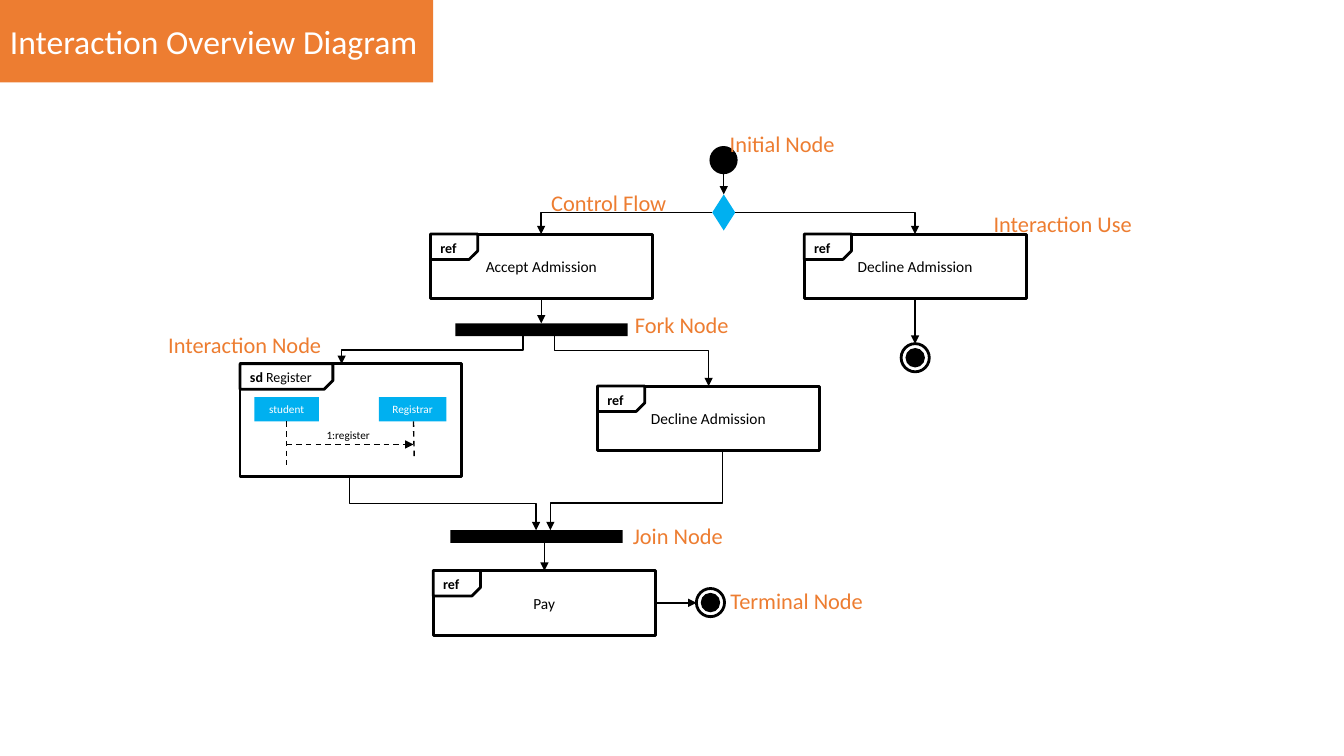
from pptx import Presentation
from pptx.dml.color import RGBColor
from pptx.enum.dml import MSO_LINE
from pptx.enum.shapes import MSO_CONNECTOR, MSO_SHAPE
from pptx.enum.text import MSO_ANCHOR, PP_ALIGN
from pptx.oxml.ns import qn
from pptx.util import Cm, Pt
from lxml import etree

RECTANGLE = MSO_SHAPE.RECTANGLE
PROCESS = MSO_SHAPE.FLOWCHART_PROCESS
DECISION = MSO_SHAPE.FLOWCHART_DECISION
OVAL = MSO_SHAPE.OVAL
SNIPPED = MSO_SHAPE.SNIP_1_RECTANGLE
STRAIGHT = MSO_CONNECTOR.STRAIGHT
ELBOW = MSO_CONNECTOR.ELBOW
DASH = MSO_LINE.DASH
MIDDLE = MSO_ANCHOR.MIDDLE
LEFT, CENTER = PP_ALIGN.LEFT, PP_ALIGN.CENTER

BLACK, WHITE, ORANGE, BLUE = "000000", "FFFFFF", "ED7D31", "00B0F0"
FRAME_WIDTH, FRAME_HEIGHT = 5.59, 1.63
TAB_WIDTH, TAB_HEIGHT = 1.19, 0.64
NODE_SIZE = 0.71


def color(value):
    return RGBColor.from_string(value)


def style_text(frame, size, ink, align=LEFT):
    for para in frame.paragraphs:
        para.alignment = align
        for span in para.runs:
            span.font.name = "Calibri"
            span.font.size = Pt(size)
            span.font.color.rgb = color(ink)


def add_box(page, kind, left, top, width, height, fill=None, outline=None):
    box = page.shapes.add_shape(kind, Cm(left), Cm(top), Cm(width), Cm(height))
    box.shadow.inherit = False
    if fill:
        box.fill.solid()
        box.fill.fore_color.rgb = color(fill)
    else:
        box.fill.background()
    if outline:
        box.line.color.rgb = color(outline)
        box.line.width = Pt(2)
    else:
        box.line.fill.background()
    return box


def fill_text(box, text, size, ink, align=CENTER):
    frame = box.text_frame
    frame.text = text
    frame.vertical_anchor = MIDDLE
    style_text(frame, size, ink, align)


def add_label(page, left, top, width, height, text, size, ink):
    box = page.shapes.add_textbox(Cm(left), Cm(top), Cm(width), Cm(height))
    box.text_frame.word_wrap = True
    box.text_frame.text = text
    style_text(box.text_frame, size, ink)
    return box


def add_line(page, start, end, kind=STRAIGHT, arrow=True, dashed=False):
    line = page.shapes.add_connector(kind, *(Cm(value) for value in start + end))
    line.line.color.rgb = color(BLACK)
    line.line.width = Pt(1)
    if dashed:
        line.line.dash_style = DASH
    if arrow:
        etree.SubElement(line.line._get_or_add_ln(), qn("a:tailEnd"), type="triangle")
    etree.SubElement(line._element.spPr, qn("a:effectLst"))
    return line


def add_corner_flow(page, start, end):
    """Runs sideways, then down."""
    line = add_line(page, start, end, ELBOW)
    line._element.spPr.find(qn("a:prstGeom")).set("prst", "bentConnector2")


def add_step_flow(page, start, end, bend=0.5):
    """Runs down, sideways and down again: an elbow turned a quarter."""
    (x1, y1), (x2, y2) = start, end
    middle_x, middle_y = (x1 + x2) / 2, (y1 + y2) / 2
    half_run, half_drop = (x2 - x1) / 2, (y2 - y1) / 2
    line = add_line(page, (middle_x - half_drop, middle_y + half_run),
                    (middle_x + half_drop, middle_y - half_run), ELBOW)
    properties = line._element.spPr
    properties.find(qn("a:xfrm")).set("rot", "5400000")
    guides = properties.find(qn("a:prstGeom")).find(qn("a:avLst"))
    etree.SubElement(guides, qn("a:gd"), name="adj1", fmla=f"val {round(bend * 100000)}")


def add_frame(page, left, top, height=FRAME_HEIGHT, tab_width=TAB_WIDTH,
              label_width=TAB_WIDTH, kind="ref", name="", text=""):
    frame = add_box(page, PROCESS, left, top, FRAME_WIDTH, height, WHITE, BLACK)
    if text:
        fill_text(frame, text, 11, BLACK)
    # Tab with its lower right corner cut off
    tab = add_box(page, SNIPPED, left, top, tab_width, TAB_HEIGHT, WHITE, BLACK)
    tab.adjustments[0] = 0.342
    tab._element.spPr.find(qn("a:xfrm")).set("flipV", "1")
    label = add_label(page, left, top, label_width, 0.68, kind, 10, BLACK)
    para = label.text_frame.paragraphs[0]
    para.runs[0].font.bold = True
    if name:
        para.add_run().text = name
        style_text(label.text_frame, 10, BLACK)


def add_register(page, left, top):
    """Interaction frame holding a small sequence diagram."""
    add_frame(page, left, top, 2.84, 2.34, 2.97, "sd ", "Register")
    head_top, head_height = top + 0.84, 0.61
    foot = head_top + head_height
    for name, offset, width in (("student", 0.36, 1.63), ("Registrar", 3.5, 1.7)):
        head = add_box(page, RECTANGLE, left + offset, head_top, width, head_height, BLUE)
        head.text_frame.margin_left = head.text_frame.margin_right = 0
        fill_text(head, name, 8, WHITE)
    student_x, registrar_x, message_y = left + 1.17, left + 4.37, top + 2.03
    add_line(page, (student_x, foot), (student_x, foot + 1.1), arrow=False, dashed=True)
    add_line(page, (registrar_x, foot), (registrar_x + 0.02, foot + 0.97),
             arrow=False, dashed=True)
    add_line(page, (student_x, message_y), (registrar_x, message_y), dashed=True)
    add_label(page, left + 1.93, top + 1.5, 1.93, 0.61, "1:register", 8, BLACK)


def add_end_node(page, left, top):
    inset = 0.11
    dot_size = NODE_SIZE - 2 * inset
    add_box(page, OVAL, left, top, NODE_SIZE, NODE_SIZE, None, BLACK)
    add_box(page, OVAL, left + inset, top + inset, dot_size, dot_size, BLACK)


def add_title(page, left, top, width, height):
    banner = add_box(page, RECTANGLE, left, top, width, height, ORANGE)
    fill_text(banner, "Interaction Overview Diagram", 24, WHITE, LEFT)


def add_diagram(page):
    # Start and decision
    add_box(page, OVAL, 17.88, 3.68, NODE_SIZE, NODE_SIZE, BLACK)
    add_box(page, DECISION, 17.95, 4.9, 0.58, 0.91, BLUE)

    # Interaction frames
    for left, top, text in ((10.85, 5.9, "Accept Admission"),
                            (20.27, 5.9, "Decline Admission"),
                            (15.06, 9.73, "Decline Admission"),
                            (10.92, 14.38, "Pay")):
        add_frame(page, left, top, text=text)
    add_register(page, 6.05, 9.17)

    # Fork and join bars, end nodes
    for left, top in ((11.48, 8.15), (11.35, 13.36)):
        add_box(page, RECTANGLE, left, top, 4.34, 0.32, BLACK)
    for left, top in ((22.71, 8.66), (17.55, 14.83)):
        add_end_node(page, left, top)

    # Control flows
    for start, end in (((18.24, 4.39), (18.24, 4.9)),
                       ((13.64, 7.53), (13.64, 8.15)),
                       ((23.06, 7.53), (23.06, 8.66)),
                       ((13.72, 13.68), (13.72, 14.38)),
                       ((16.51, 15.19), (17.55, 15.19))):
        add_line(page, start, end)
    add_corner_flow(page, (17.95, 5.36), (13.64, 5.9))
    add_corner_flow(page, (18.53, 5.36), (23.06, 5.9))
    add_step_flow(page, (13.18, 8.47), (8.61, 9.17))
    add_step_flow(page, (13.97, 8.47), (17.86, 9.73), 0.29)
    add_step_flow(page, (8.81, 12.01), (13.51, 13.36))
    add_step_flow(page, (18.21, 11.36), (13.87, 13.36), 0.66)


def add_notations(page):
    for text, left, top in (("Initial Node", 18.14, 3.15), ("Control Flow", 13.64, 4.65),
                            ("Fork Node", 15.75, 7.72), ("Join Node", 15.7, 13.03),
                            ("Terminal Node", 18.16, 14.66),
                            ("Interaction Node", 3.99, 8.23),
                            ("Interaction Use", 24.79, 5.18)):
        add_label(page, left, top, 4.47, 0.94, text, 16, ORANGE)


def main():
    deck = Presentation()
    deck.slide_width, deck.slide_height = Cm(33.87), Cm(19.05)
    page = deck.slides.add_slide(deck.slide_layouts[6])
    add_diagram(page)
    add_notations(page)
    add_title(page, 0, 0, 10.92, 2.08)
    deck.save("out.pptx")


if __name__ == "__main__":
    main()
